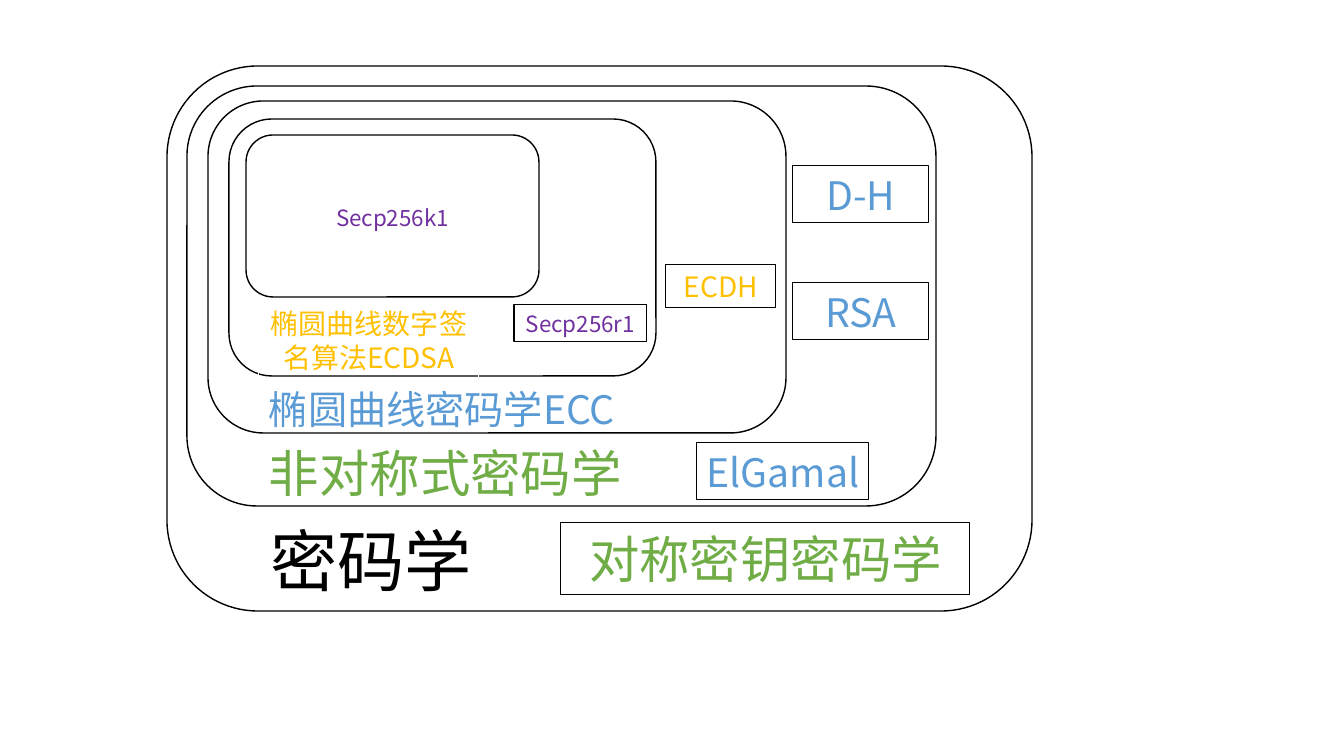
from pptx import Presentation
from pptx.util import Emu, Pt
from pptx.dml.color import RGBColor
from pptx.enum.shapes import MSO_SHAPE
from pptx.enum.text import PP_ALIGN, MSO_ANCHOR
from lxml import etree

ROUND = MSO_SHAPE.ROUNDED_RECTANGLE
LEFT, CENTER = PP_ALIGN.LEFT, PP_ALIGN.CENTER
TOP = MSO_ANCHOR.TOP
FONT = "Noto Sans CJK SC"
A = "http://schemas.openxmlformats.org/drawingml/2006/main"
SCALE = 914400 / 100.8
BLACK, WHITE = "000000", "FFFFFF"
GREEN, BLUE, GOLD, PURPLE = "70AD47", "5B9BD5", "FFC000", "7030A0"


def color(value):
    return RGBColor.from_string(value)


def add_text(text, box, size=28, fill=BLUE, line=BLACK, align=CENTER, inset=10):
    sp = s.shapes.add_textbox(*[Emu(round(v * SCALE)) for v in box])
    if line:
        sp.line.color.rgb = color(line)
        sp.line.width = Pt(0.75)
    tf = sp.text_frame
    tf.word_wrap = True
    tf.vertical_anchor = TOP
    tf.margin_left = tf.margin_right = Emu(round(inset * SCALE))
    p = tf.paragraphs[0]
    p.alignment = align
    r = p.add_run()
    r.text = text
    r.font.size = Pt(size)
    r.font.name = FONT
    r.font.color.rgb = color(fill)
    etree.SubElement(r.font._element, f"{{{A}}}ea", typeface=FONT)


prs = Presentation()
prs.slide_width = Emu(round(1344 * SCALE))
prs.slide_height = Emu(round(756 * SCALE))
s = prs.slides.add_slide(prs.slide_layouts[6])

nested_sets = [
    (167, 66, 865, 545),
    (187, 86, 749, 420),
    (208, 101, 578, 332),
    (229, 119, 427, 257),
    (246, 135, 293, 162),
]
for box in nested_sets:
    sp = s.shapes.add_shape(ROUND, *[Emu(round(v * SCALE)) for v in box])
    sp.shadow.inherit = False
    sp.fill.solid()
    sp.fill.fore_color.rgb = color(WHITE)
    sp.line.color.rgb = color(BLACK)
    sp.line.width = Pt(1)

set_names = [
    ("密码学", (260, 514, 390, 91), 48, BLACK),
    ("非对称式密码学", (259, 437, 390, 72), 36, GREEN),
    ("椭圆曲线密码学ECC", (259, 380, 385, 57), 28, BLUE),
]
for text, box, size, fill in set_names:
    add_text(text, box, size, fill, line=None, align=LEFT)

add_text("椭圆曲线数字签名算法ECDSA", (259, 302, 220, 78), 20, GOLD, line=WHITE)
add_text("Secp256k1", (320, 199, 145, 37), 16, PURPLE, line=WHITE)

members = [
    ("D-H", (793, 166, 136, 57), 28, BLUE),
    ("RSA", (793, 283, 136, 57), 28, BLUE),
    ("ECDH", (666, 265, 110, 43), 20, GOLD),
    ("Secp256r1", (514, 305, 133, 37), 16, PURPLE),
    ("对称密钥密码学", (561, 523, 409, 72), 36, GREEN),
]
for text, box, size, fill in members:
    add_text(text, box, size, fill)

add_text("ElGamal", (697, 443, 172, 57), inset=4)

prs.save("out.pptx")
